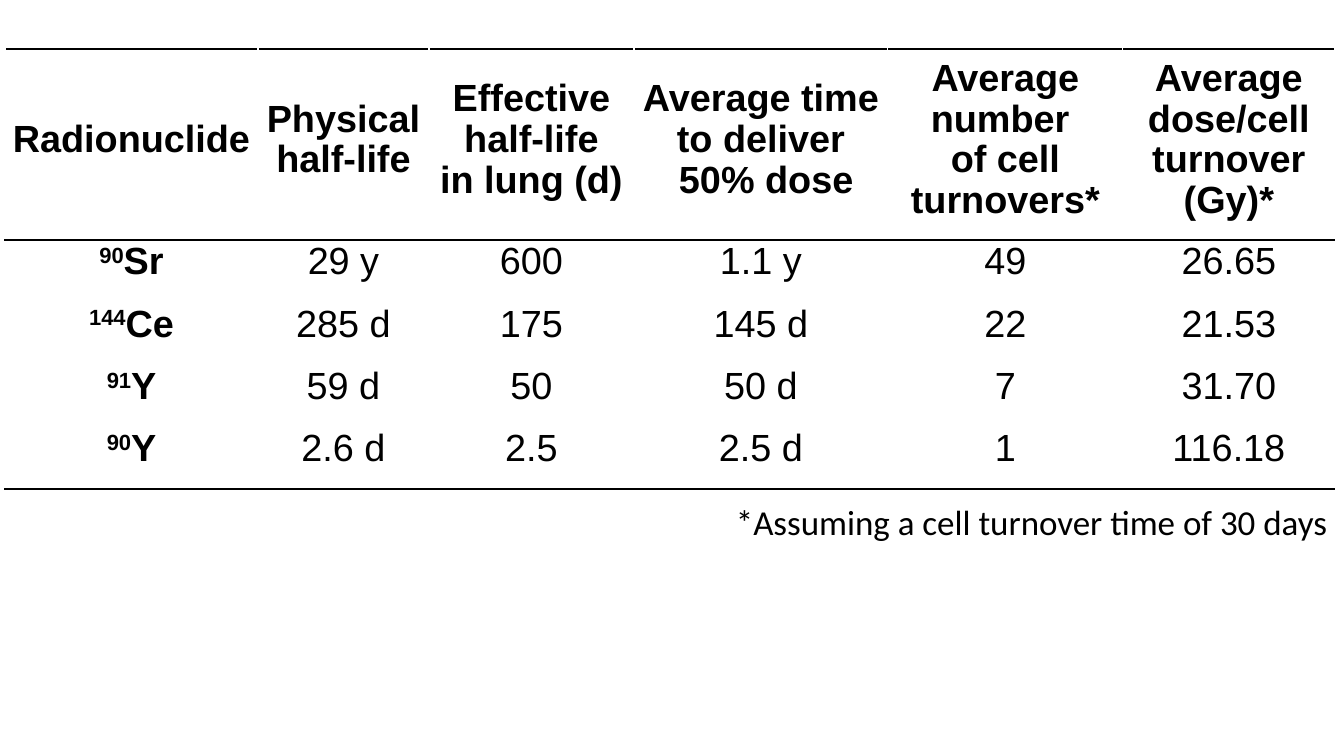
import pptx
import pptx.util
import pptx.dml.color
import pptx.enum.text
import pptx.oxml.ns
from lxml import etree

HEADERS = [
    ["Radionuclide"],
    ["Physical ", "half-life"],
    ["Effective", "half-life", "in lung (d)"],
    ["Average time", "to deliver", " 50% dose"],
    ["Average", "number ", "of cell", "turnovers*"],
    ["Average", "dose/cell", "turnover", "(Gy)*"],
]
NUCLIDES = [
    ("90", "Sr", ["29 y", "600", "1.1 y", "49", "26.65"]),
    ("144", "Ce", ["285 d", "175", "145 d", "22", "21.53"]),
    ("91", "Y", ["59 d", "50", "50 d", "7", "31.70"]),
    ("90", "Y", ["2.6 d", "2.5", "2.5 d", "1", "116.18"]),
]
FOOTNOTE = "*Assuming a cell turnover time of 30 days"

BLACK = pptx.dml.color.RGBColor(0, 0, 0)
WHITE = pptx.dml.color.RGBColor(255, 255, 255)
SCALE = 914400 / 100.8
COLUMN_WIDTHS = [253, 171, 205, 254, 235, 212]
ROW_HEIGHTS = [191, 62, 63, 62, 62]
TABLE_LEFT, TABLE_TOP = 5, 49
NOTE_AREA = (726, 496, 619, 52)
SIDE_MARGIN = 7
HEADER_GAP = pptx.util.Pt(6)
CENTER = pptx.enum.text.PP_ALIGN.CENTER
TABLE_FONT = {"name": "Arial", "size": pptx.util.Pt(27)}
NOTE_FONT = {"name": "Calibri", "size": pptx.util.Pt(25)}


def px(length):
    return pptx.util.Emu(round(length * SCALE))


def set_values(target, values):
    for name, value in values.items():
        setattr(target, name, value)


def add_span(para, text, font, bold=False, baseline=None):
    span = para.add_run()
    span.text = text
    set_values(span.font, {**font, "bold": bold})
    span.font.color.rgb = BLACK
    if baseline:
        span.font._element.set("baseline", str(baseline))


def add_border(cell, side, color):
    properties = cell._tc.get_or_add_tcPr()
    line = etree.SubElement(properties, pptx.oxml.ns.qn("a:" + side), w="12700")
    fill = etree.SubElement(line, pptx.oxml.ns.qn("a:solidFill"))
    etree.SubElement(fill, pptx.oxml.ns.qn("a:srgbClr"), val=str(color))


def format_cell(cell, row, last_row):
    set_values(cell, {
        "margin_left": px(SIDE_MARGIN),
        "margin_right": px(SIDE_MARGIN),
        "margin_top": HEADER_GAP if row == 0 else 0,
        "margin_bottom": 0,
        "vertical_anchor": pptx.enum.text.MSO_ANCHOR.MIDDLE,
    })
    top = BLACK if row <= 1 else WHITE
    bottom = BLACK if row in (0, last_row) else WHITE
    for side, color in [("lnL", WHITE), ("lnR", WHITE), ("lnT", top), ("lnB", bottom)]:
        add_border(cell, side, color)
    cell.fill.solid()
    cell.fill.fore_color.rgb = WHITE


def fill_header(cell, lines):
    frame = cell.text_frame
    for index, line in enumerate(lines):
        para = frame.add_paragraph() if index else frame.paragraphs[0]
        set_values(para, {
            "alignment": CENTER,
            "line_spacing": pptx.util.Pt(17),
            "space_before": HEADER_GAP if index else 0,
            "space_after": HEADER_GAP,
        })
        add_span(para, line, TABLE_FONT, bold=True)


def body_para(cell):
    para = cell.text_frame.paragraphs[0]
    set_values(para, {"alignment": CENTER, "line_spacing": pptx.util.Pt(17)})
    return para


def add_nuclide_table(page):
    box = page.shapes.add_table(
        len(ROW_HEIGHTS), len(COLUMN_WIDTHS), px(TABLE_LEFT), px(TABLE_TOP),
        px(sum(COLUMN_WIDTHS)), px(sum(ROW_HEIGHTS)))
    table = box.table
    set_values(table, {"first_row": False, "horz_banding": False})
    for column, width in zip(table.columns, COLUMN_WIDTHS):
        column.width = px(width)
    for row, height in zip(table.rows, ROW_HEIGHTS):
        row.height = px(height)
    for row in range(len(ROW_HEIGHTS)):
        for column in range(len(COLUMN_WIDTHS)):
            format_cell(table.cell(row, column), row, len(ROW_HEIGHTS) - 1)
    for column, lines in enumerate(HEADERS):
        fill_header(table.cell(0, column), lines)
    for row, (mass, symbol, values) in enumerate(NUCLIDES, 1):
        para = body_para(table.cell(row, 0))
        add_span(para, mass, TABLE_FONT, bold=True, baseline=30000)
        add_span(para, symbol, TABLE_FONT, bold=True)
        for column, value in enumerate(values, 1):
            add_span(body_para(table.cell(row, column)), value, TABLE_FONT)


def add_footnote(page):
    box = page.shapes.add_textbox(*map(px, NOTE_AREA))
    set_values(box.text_frame, {
        "word_wrap": False,
        "auto_size": pptx.enum.text.MSO_AUTO_SIZE.SHAPE_TO_FIT_TEXT,
    })
    add_span(box.text_frame.paragraphs[0], FOOTNOTE, NOTE_FONT)


def main():
    deck = pptx.Presentation()
    set_values(deck, {"slide_width": px(1344), "slide_height": px(756)})
    page = deck.slides.add_slide(deck.slide_layouts[6])
    add_nuclide_table(page)
    add_footnote(page)
    deck.save("out.pptx")


if __name__ == "__main__":
    main()
